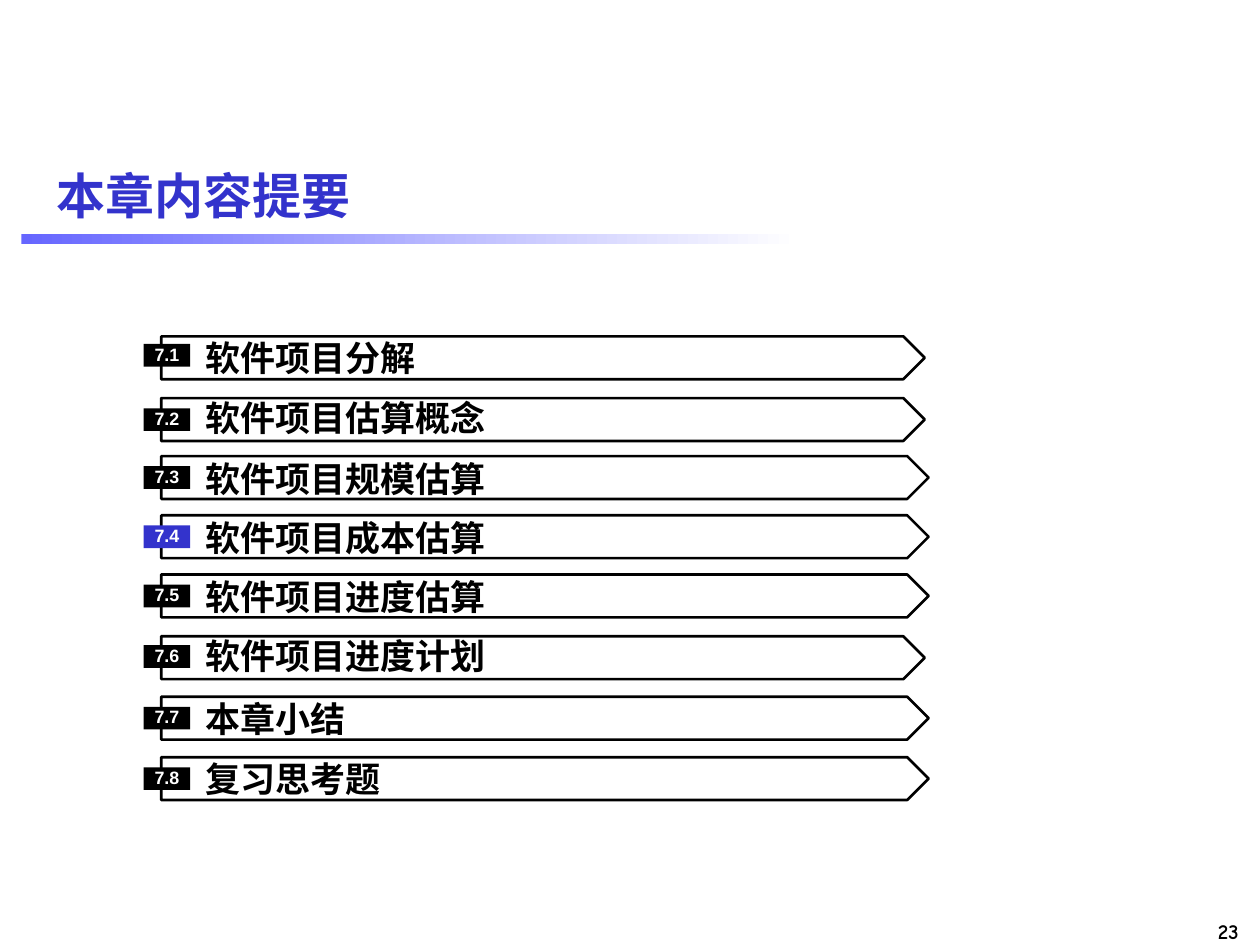
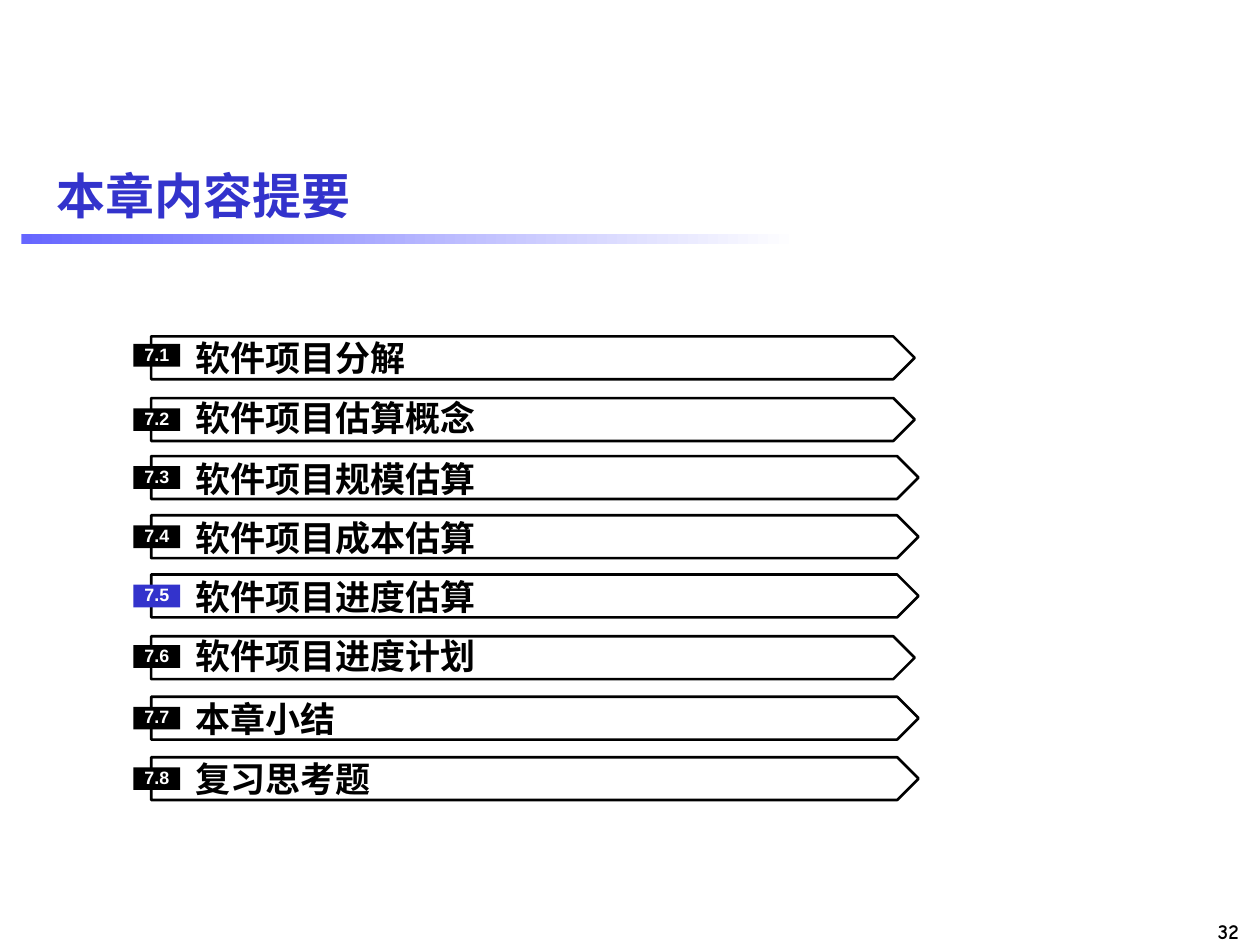
"""Build two chapter outline slides, each marking its current section."""
from pptx import Presentation
from pptx.dml.color import RGBColor
from pptx.enum.lang import MSO_LANGUAGE_ID
from pptx.enum.shapes import MSO_SHAPE
from pptx.enum.text import MSO_ANCHOR, PP_ALIGN
from pptx.util import Inches, Pt

BLACK = RGBColor(0, 0, 0)
WHITE = RGBColor(255, 255, 255)
BLUE = RGBColor(0x33, 0x33, 0xCC)
VIOLET = RGBColor(0x66, 0x66, 0xFF)

SHORT, LONG = 6.06, 6.09
SECTIONS = [
    ("软件项目分解", 2.67, 2.67, 2.73, SHORT),
    ("软件项目估算概念", 3.16, 3.15, 3.24, SHORT),
    ("软件项目规模估算", 3.62, 3.63, 3.7, LONG),
    ("软件项目成本估算", 4.09, 4.1, 4.17, LONG),
    ("软件项目进度估算", 4.56, 4.57, 4.64, LONG),
    ("软件项目进度计划", 5.05, 5.04, 5.12, SHORT),
    ("本章小结", 5.53, 5.54, 5.61, LONG),
    ("复习思考题", 6.01, 6.01, 6.09, LONG),
]
PAGES = [(23, 1.28, 4), (32, 1.2, 5)]


class Deck:
    def __init__(self):
        self.prs = Presentation()
        self.prs.slide_width, self.prs.slide_height = Inches(10), Inches(7.5)
        self.slide = None

    def letter(self, shape, text, size, face, color, align=PP_ALIGN.LEFT):
        frame = shape.text_frame
        frame.text = text
        frame.word_wrap = True
        frame.vertical_anchor = MSO_ANCHOR.MIDDLE
        para = frame.paragraphs[0]
        para.alignment = align
        font = para.font
        font.size, font.name, font.bold = Pt(size), face, True
        font.color.rgb = color
        font.language_id = MSO_LANGUAGE_ID.SIMPLIFIED_CHINESE
        return frame

    def inset(self, frame, left=0):
        frame.margin_left = Inches(left)
        frame.margin_top = frame.margin_right = frame.margin_bottom = 0

    def box(self, x, y, w, h):
        return self.slide.shapes.add_textbox(Inches(x), Inches(y), Inches(w), Inches(h))

    def rect(self, x, y, w, h):
        shape = self.slide.shapes.add_shape(
            MSO_SHAPE.RECTANGLE, Inches(x), Inches(y), Inches(w), Inches(h))
        shape.shadow.inherit = False
        shape.line.fill.background()
        return shape

    def page(self, title, number):
        self.slide = self.prs.slides.add_slide(self.prs.slide_layouts[5])
        self.band()
        head = self.slide.shapes.title
        head.left, head.top = Inches(0.35), Inches(1.15)
        head.width, head.height = Inches(9.45), Inches(0.79)
        self.letter(head, title, 28, "Arial", BLUE)
        foot = self.box(9.01, 7.24, 0.92, 0.3)
        self.letter(foot, str(number), 12, "Comic Neue", BLACK, PP_ALIGN.RIGHT)

    def band(self):
        fill = self.rect(0.17, 1.86, 6.17, 0.08).fill
        fill.gradient()
        fill.gradient_angle = 0
        for stop, color in zip(fill.gradient_stops, (VIOLET, WHITE)):
            stop.color.rgb = color

    def arrow(self, x, y, w, h=0.34, tip=0.17):
        right, low = x + w, y + h
        points = [(right - tip, y), (right, y + h / 2), (right - tip, low), (x, low)]
        pen = self.slide.shapes.build_freeform(Inches(x), Inches(y))
        pen.add_line_segments([(Inches(a), Inches(b)) for a, b in points], close=True)
        shape = pen.convert_to_shape()
        shape.shadow.inherit = False
        shape.fill.background()
        shape.line.color.rgb = BLACK
        shape.line.width = Pt(1.5)

    def label(self, text, x, y, w):
        frame = self.letter(self.box(x, y, w, 0.33), text, 20, "Times New Roman", BLACK)
        self.inset(frame, 0.07)

    def badge(self, text, x, y, color):
        shape = self.rect(x, y, 0.37, 0.18)
        shape.fill.solid()
        shape.fill.fore_color.rgb = color
        frame = self.letter(shape, text, 10.2, "Arial", WHITE, PP_ALIGN.CENTER)
        frame.paragraphs[0].line_spacing = 0.9
        self.inset(frame)

    def outline(self, left, current):
        for index, (name, bar, text, tag, width) in enumerate(SECTIONS, 1):
            self.arrow(left, bar, width)
            self.label(name, left + 0.28, text, width - 0.68)
            self.badge(f"7.{index}", left - 0.14, tag, BLUE if index == current else BLACK)


def main():
    deck = Deck()
    for number, left, current in PAGES:
        deck.page("本章内容提要", number)
        deck.outline(left, current)
    deck.prs.save("out.pptx")


if __name__ == "__main__":
    main()
